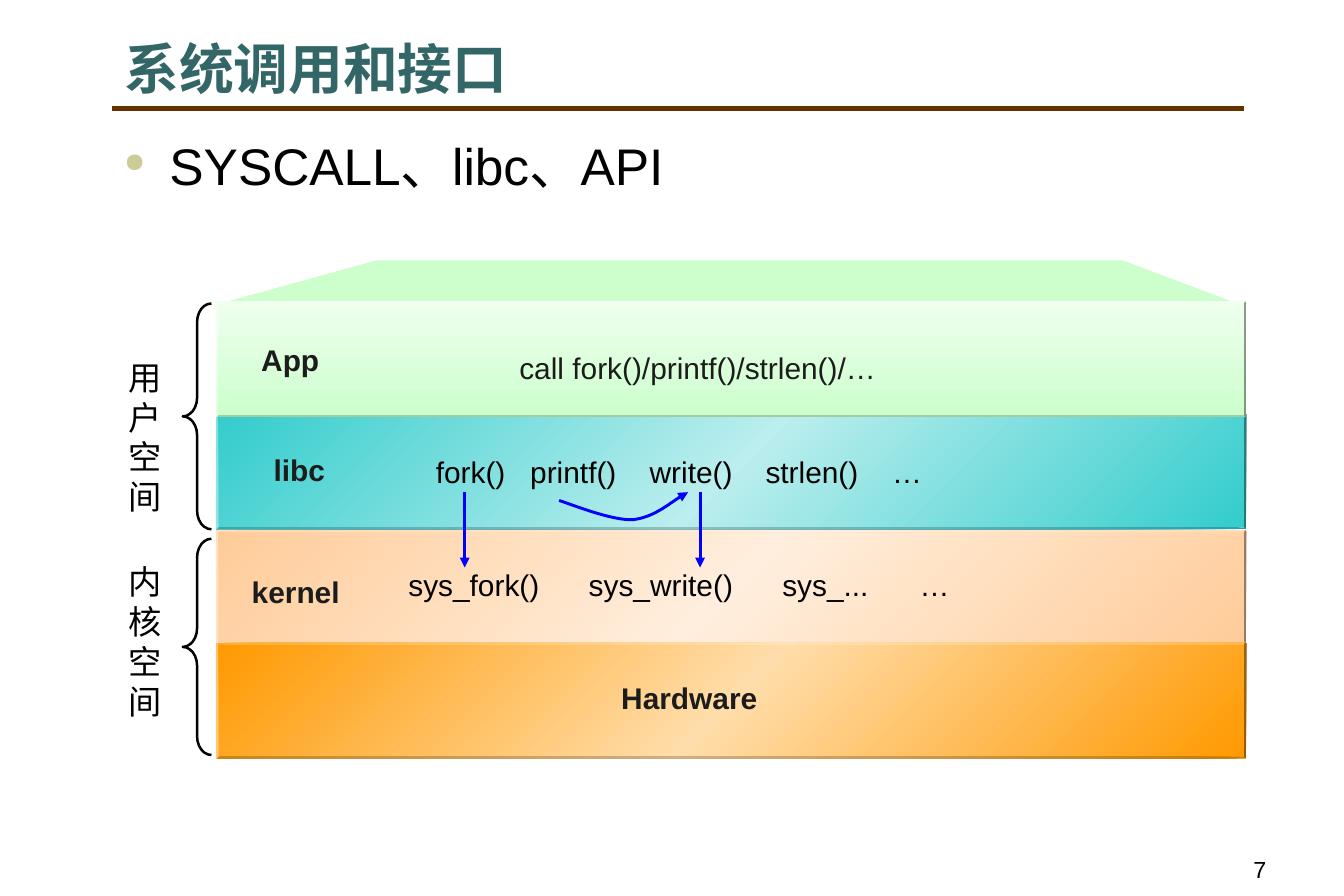
from copy import deepcopy

from lxml import etree
from pptx import Presentation
from pptx import util as u
from pptx.dml.color import RGBColor
from pptx.enum import shapes, text
from pptx.oxml.ns import qn

PX = 9144  # 100 px to the inch
COLORS = {
    "title": "336666", "rule": "663300", "bullet": "CCCC99",
    "text": "000000", "label": "1C1C1C", "arrow": "0000FF", "roof": "CCFFCC",
}


def add_text(words, left, top, width, height, size=18, color="text",
             bold=False, align=text.PP_ALIGN.CENTER, wrap=False, tabs=()):
    """Add a one-paragraph box; tabs are px from its text edge."""
    box = page.shapes.add_textbox(left * PX, top * PX, width * PX, height * PX)
    box.text_frame.word_wrap = wrap
    if not wrap:
        box.text_frame.auto_size = text.MSO_AUTO_SIZE.SHAPE_TO_FIT_TEXT
    para = box.text_frame.paragraphs[0]
    para.text = words
    para.alignment = align
    if tabs:
        tab_list = etree.SubElement(para._p.get_or_add_pPr(), qn("a:tabLst"))
        for stop in tabs:
            etree.SubElement(tab_list, qn("a:tab"), pos=str(stop * PX), algn="l")
    para.font.size = u.Pt(size)
    para.font.name = "Arial"
    para.font.bold = bold
    para.font.color.rgb = RGBColor.from_string(COLORS[color])
    return box


def style_line(shape, color, width, arrow=False):
    shape.line.color.rgb = RGBColor.from_string(COLORS[color])
    shape.line.width = u.Pt(width)
    if arrow:
        etree.SubElement(shape.line._get_or_add_ln(), qn("a:tailEnd"), type="triangle")
    etree.SubElement(shape._element.spPr, qn("a:effectLst"))


deck = Presentation()
deck.slide_width, deck.slide_height = 1125 * PX, 750 * PX
page = deck.slides.add_slide(deck.slide_layouts[5])

# Title, rule and page number
title = page.shapes.title
title.left, title.top, title.width, title.height = 94 * PX, 13 * PX, 947 * PX, 76 * PX
title.text_frame.auto_size = text.MSO_AUTO_SIZE.NONE
title.text_frame.vertical_anchor = text.MSO_ANCHOR.BOTTOM
para = title.text_frame.paragraphs[0]
para.text = "系统调用和接口"
para.alignment = text.PP_ALIGN.LEFT
para.font.size = u.Pt(33)
para.font.name = "Montserrat"
para.font.bold = True
para.font.color.rgb = RGBColor.from_string(COLORS["title"])

rule = page.shapes.add_connector(shapes.MSO_CONNECTOR.STRAIGHT,
                                 94 * PX, 91 * PX, 1041 * PX, 91 * PX)
style_line(rule, "rule", 3)
add_text("7", 956, 711, 197, 50, size=14, wrap=True)

# Bulleted topic
topic = add_text("SYSCALL、libc、API", 94, 107, 922, 115, size=31,
                 align=text.PP_ALIGN.LEFT, wrap=True)
properties = topic.text_frame.paragraphs[0]._p.get_or_add_pPr()
properties.set("marL", str(38 * PX))
properties.set("indent", str(-38 * PX))
bullet_color = etree.Element(qn("a:buClr"))
etree.SubElement(bullet_color, qn("a:srgbClr"), val=COLORS["bullet"])
bullet_size = etree.Element(qn("a:buSzPct"), val="52000")
bullet = etree.Element(qn("a:buChar"), char="●")
for place, element in enumerate((bullet_color, bullet_size, bullet)):
    properties.insert(place, element)

# Roof over the stack of layers
builder = page.shapes.build_freeform(181, 255, scale=PX)
builder.add_line_segments([(315, 218), (940, 218), (1038, 255)])
roof = builder.convert_to_shape()
roof.shadow.inherit = False
roof.fill.solid()
roof.fill.fore_color.rgb = RGBColor.from_string(COLORS["roof"])
roof.line.fill.background()

# Layers: top, gradient colours, anticlockwise angle
layers = [
    (346, ("33CCCC", "BBEEEE", "33CCCC"), 135),
    (252, ("EEFFEE", "CCFFCC"), 270),
    (444, ("FFCC99", "FFEEDD", "FFCC99"), 135),
    (538, ("FF9900", "FFDDAA", "FF9900"), 135),
]
for top, colors, angle in layers:
    layer = page.shapes.add_shape(shapes.MSO_SHAPE.BEVEL,
                                  181 * PX, top * PX, 862 * PX, 97 * PX)
    layer.adjustments[0] = 0.016
    layer.shadow.inherit = False
    layer.line.fill.background()
    layer.fill.gradient()
    layer.fill.gradient_angle = angle
    if len(colors) == 3:
        first = layer._element.spPr.find(".//" + qn("a:gs"))
        first.addnext(deepcopy(first))
    for index, (stop, color) in enumerate(zip(layer.fill.gradient_stops, colors)):
        stop.color.rgb = RGBColor.from_string(color)
        stop.position = index / (len(colors) - 1)

for name, left, top, width in [("App", 206, 281, 74), ("libc", 216, 373, 69),
                               ("kernel", 198, 475, 99), ("Hardware", 507, 564, 140)]:
    add_text(name, left, top, width, 40, color="label", bold=True)

# Calls in each layer
add_text("call fork()/printf()/strlen()/…", 422, 288, 324, 40, color="label")
for calls, left, top, width, tabs in [
    (["fork()", "printf()", "write()", "strlen()", "…"], 355, 375, 427, (79, 179, 276, 382)),
    (["sys_fork()", "sys_write()", "sys_...", "…"], 332, 469, 473, (151, 313, 428)),
]:
    add_text("\t".join(calls), left, top, width, 40,
             align=text.PP_ALIGN.LEFT, wrap=True, tabs=tabs)

for x in (389, 586):
    arrow = page.shapes.add_connector(shapes.MSO_CONNECTOR.STRAIGHT,
                                      x * PX, 412 * PX, x * PX, 475 * PX)
    style_line(arrow, "arrow", 1.75, arrow=True)

# Curved arrow from printf() to write(): every three points make one Bézier
builder = page.shapes.build_freeform(468, 419, scale=PX)
builder.add_line_segments([(478, 422), (512, 436), (530, 435),
                           (547, 433), (566, 417), (576, 412)], close=False)
curve = builder.convert_to_shape()
curve.fill.background()
style_line(curve, "arrow", 1.75, arrow=True)
segments = list(curve._element.spPr.iter(qn("a:lnTo")))
for start in range(0, len(segments), 3):
    bezier = etree.Element(qn("a:cubicBezTo"))
    segments[start].addprevious(bezier)
    for segment in segments[start:start + 3]:
        bezier.append(segment[0])
        segment.getparent().remove(segment)

# Braces and the spaces they span
for name, brace_top, brace_height, text_top in [("用户空间", 254, 189, 294),
                                                ("内核空间", 451, 181, 465)]:
    brace = page.shapes.add_shape(shapes.MSO_SHAPE.LEFT_BRACE,
                                  153 * PX, brace_top * PX, 24 * PX, brace_height * PX)
    brace.adjustments[0] = 0.65
    brace.fill.background()
    style_line(brace, "text", 1.5)
    add_text(name, 90, text_top, 63, 144, size=20, wrap=True)

deck.save("out.pptx")
